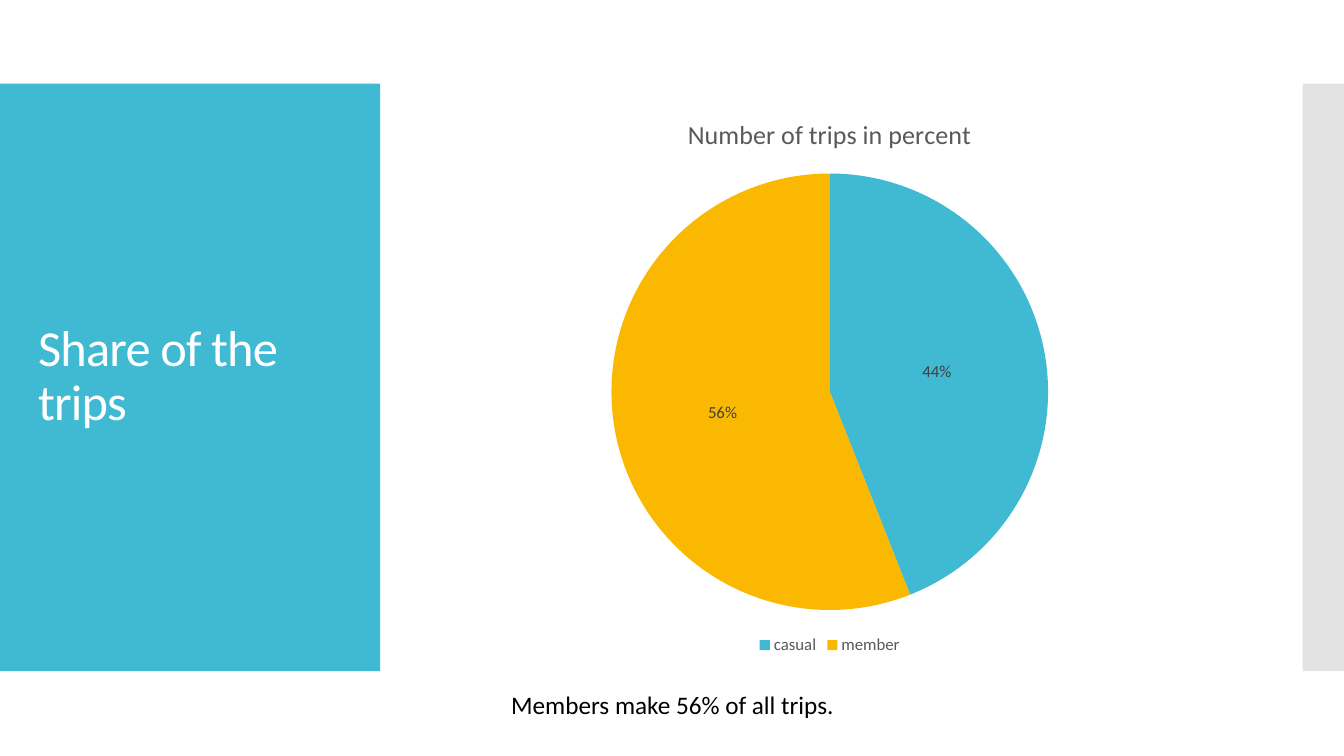
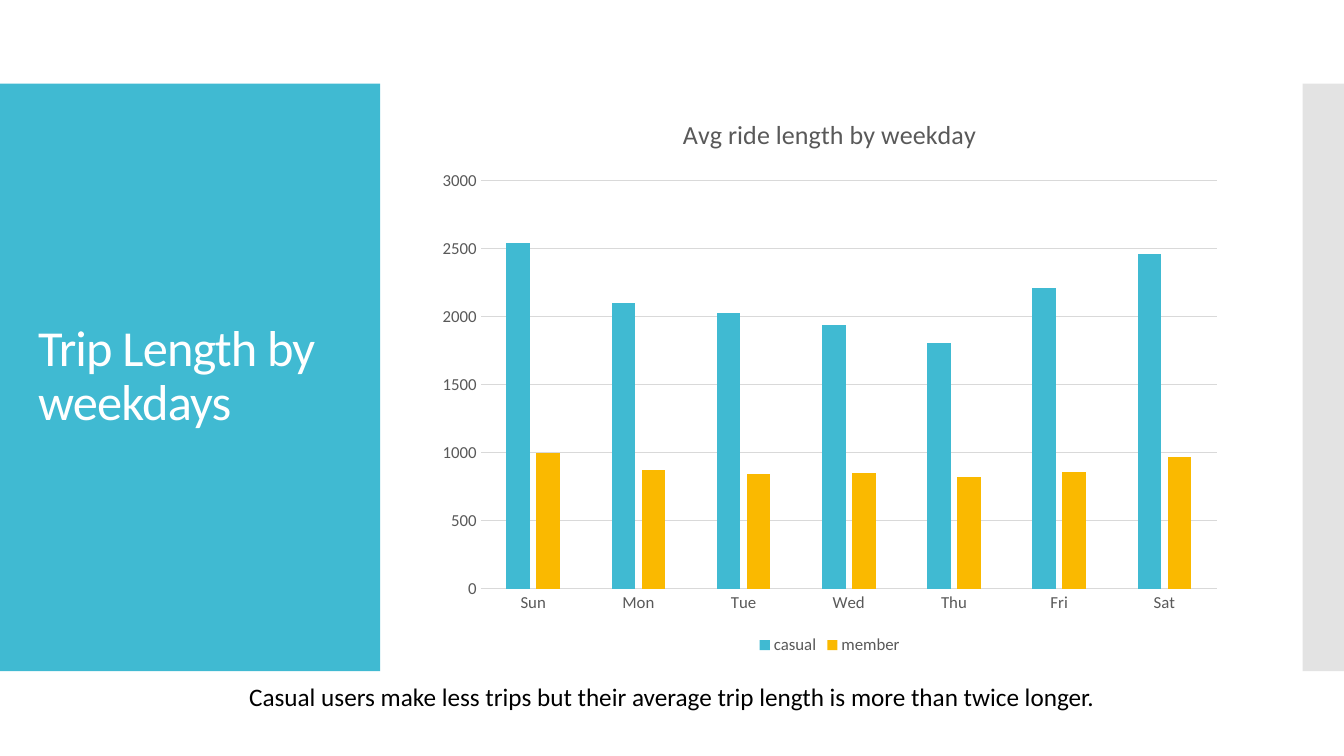
from lxml.etree import SubElement
from pptx import Presentation
from pptx.chart.data import CategoryChartData
from pptx.dml.color import RGBColor
from pptx.enum.chart import (XL_CHART_TYPE, XL_LABEL_POSITION,
                             XL_LEGEND_POSITION, XL_TICK_MARK)
from pptx.enum.shapes import MSO_SHAPE
from pptx.enum.text import MSO_ANCHOR, PP_ALIGN
from pptx.oxml.ns import qn
from pptx.util import Inches, Pt

FONT = "Calibri"
TEAL, AMBER, SILVER = "40BAD2", "FAB900", "C8C8C8"
WHITE, BLACK = "FFFFFF", "000000"
GRAY, DARK_GRAY, GRID = "595959", "404040", "D9D9D9"
USER_COLORS = {"casual": TEAL, "member": AMBER}
BAND_TOP, BAND_HEIGHT = 0.83, 5.83


def rgb(value):
    return RGBColor.from_string(value)


def style_font(font, size, color):
    font.name = FONT
    font.size = Pt(size)
    font.bold = False
    font.color.rgb = rgb(color)


def paint(target, color):
    """Solid fill without an outline."""
    target.fill.solid()
    target.fill.fore_color.rgb = rgb(color)
    target.line.fill.background()


def add_band(page, left, width, color, opacity=100):
    band = page.shapes.add_shape(MSO_SHAPE.RECTANGLE, Inches(left), Inches(BAND_TOP),
                                 Inches(width), Inches(BAND_HEIGHT))
    band.shadow.inherit = False
    paint(band, color)
    if opacity < 100:
        fill_color = band.fill._xPr.find(qn("a:solidFill"))[0]
        SubElement(fill_color, qn("a:alpha")).set("val", str(opacity * 1000))


def add_text(page, text, left, top, width, height, size, color):
    box = page.shapes.add_textbox(Inches(left), Inches(top), Inches(width), Inches(height))
    frame = box.text_frame
    frame.word_wrap = True
    frame.text = text
    para = frame.paragraphs[0]
    style_font(para.runs[0].font, size, color)
    return frame, para


def add_title(page, text):
    frame, para = add_text(page, text, 0.28, 1.23, 3.22, 5.03, 36, WHITE)
    frame.vertical_anchor = MSO_ANCHOR.MIDDLE
    para.line_spacing = 0.9
    para.runs[0]._r.get_or_add_rPr().set("spc", "-60")


def add_caption(page, text, left, top, width):
    para = add_text(page, text, left, top, width, 0.4, 18, BLACK)[1]
    para.alignment = PP_ALIGN.CENTER


def add_page(deck, title):
    """Blank page with the bands and title that all pages share."""
    page = deck.slides.add_slide(deck.slide_layouts[6])
    add_band(page, 0, 3.77, TEAL)
    add_band(page, 12.92, 0.42, SILVER, opacity=50)
    add_title(page, title)
    return page


def add_chart(page, kind, title, categories, series):
    data = CategoryChartData()
    data.categories = categories
    for name, values in series.items():
        data.add_series(name, values)
    chart = page.shapes.add_chart(kind, Inches(4.23), Inches(0.94),
                                  Inches(8), Inches(5.6), data).chart
    style_font(chart.font, 10, BLACK)
    chart.has_title = True
    title_frame = chart.chart_title.text_frame
    title_frame.text = title
    style_font(title_frame.paragraphs[0].runs[0].font, 18.6, GRAY)
    chart.chart_title.include_in_layout = False
    chart.has_legend = True
    chart.legend.position = XL_LEGEND_POSITION.BOTTOM
    chart.legend.include_in_layout = False
    style_font(chart.legend.font, 12, GRAY)
    return chart


def add_share_pie(page, title, shares):
    chart = add_chart(page, XL_CHART_TYPE.PIE, title, list(shares),
                      {"Series 1": list(shares.values())})
    plot = chart.plots[0]
    plot.vary_by_categories = True
    for index, user in enumerate(shares):
        paint(plot.series[0].points[index].format, USER_COLORS[user])
    plot.has_data_labels = True
    labels = plot.data_labels
    labels.show_value = False
    labels.show_percentage = True
    labels.number_format = "0%"
    labels.number_format_is_linked = False
    labels.position = XL_LABEL_POSITION.CENTER
    style_font(labels.font, 12, DARK_GRAY)


def style_line(line, color):
    line.width = Pt(0.75)
    line.color.rgb = rgb(color)


def add_weekday_columns(page, title, weekdays, lengths):
    chart = add_chart(page, XL_CHART_TYPE.COLUMN_CLUSTERED, title, weekdays, lengths)
    plot = chart.plots[0]
    plot.vary_by_categories = False
    plot.gap_width = 219
    plot.overlap = -27
    for series in plot.series:
        paint(series.format, USER_COLORS[series.name])
    for axis in (chart.category_axis, chart.value_axis):
        axis.major_tick_mark = XL_TICK_MARK.NONE
        axis.minor_tick_mark = XL_TICK_MARK.NONE
        style_font(axis.tick_labels.font, 12, GRAY)
    style_line(chart.category_axis.format.line, GRID)
    chart.value_axis.format.line.fill.background()
    chart.value_axis.has_major_gridlines = True
    style_line(chart.value_axis.major_gridlines.format.line, GRID)


def main():
    deck = Presentation()
    deck.slide_width, deck.slide_height = Inches(13.33), Inches(7.5)

    # Share of the trips
    page = add_page(deck, "Share of the trips")
    add_share_pie(page, "Number of trips in percent", {"casual": 44, "member": 56})
    add_caption(page, "Members make 56% of all trips.", 0.09, 6.79, 13.16)

    # Trip length by weekday
    page = add_page(deck, "Trip Length by weekdays")
    add_weekday_columns(page, "Avg ride length by weekday",
                        ["Sun", "Mon", "Tue", "Wed", "Thu", "Fri", "Sat"],
                        {"casual": [2540, 2100, 2030, 1940, 1810, 2210, 2460],
                         "member": [1000, 870, 840, 850, 820, 860, 970]})
    add_caption(page, "Casual users make less trips but their average trip length "
                "is more than twice longer.", 0.04, 6.71, 13.25)

    deck.save("out.pptx")


main()
